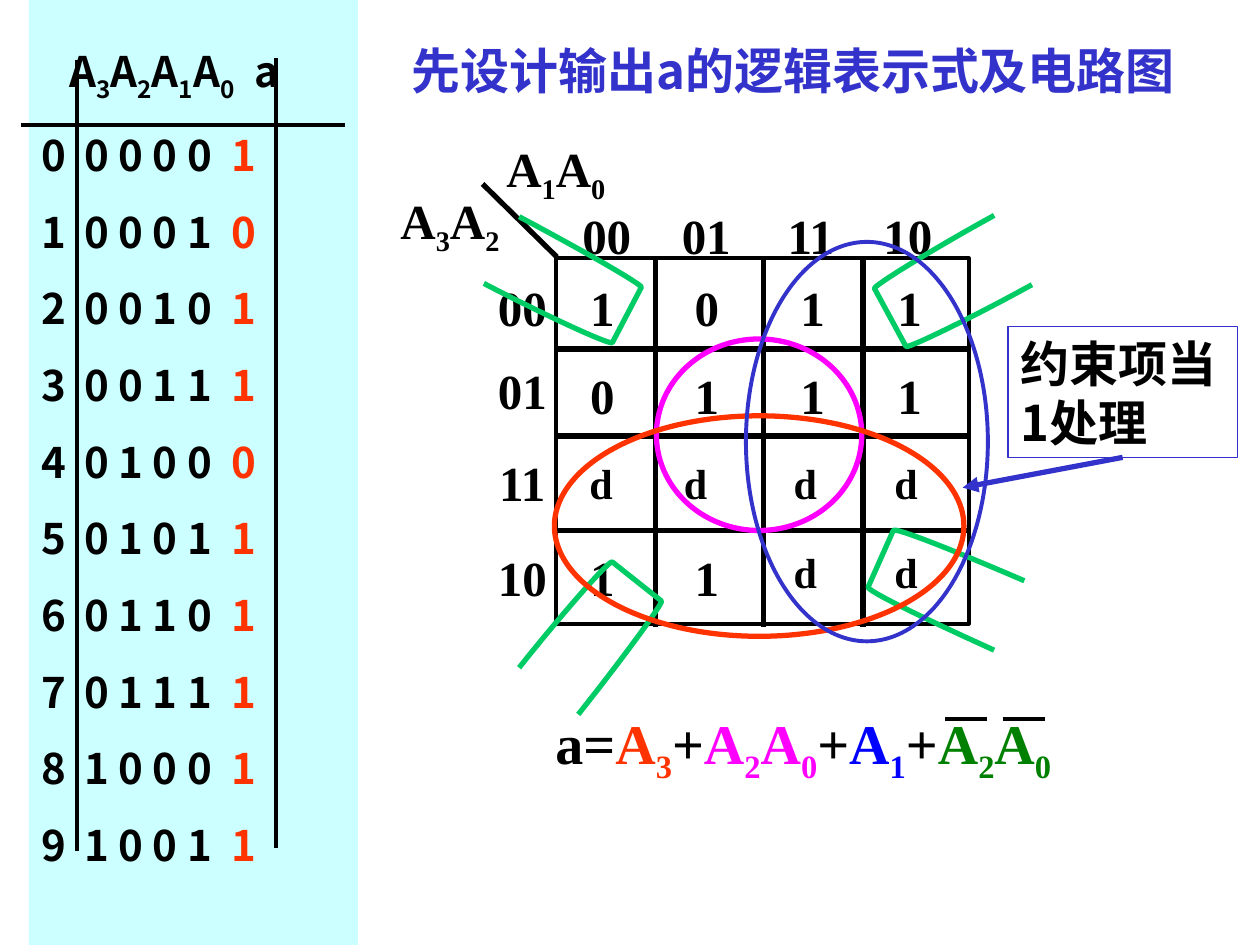
"""Build a slide deriving the logic expression for output a from a truth table and a Karnaugh map."""
from dataclasses import dataclass

from lxml import etree
from pptx import Presentation
from pptx.dml.color import RGBColor
from pptx.enum.dml import MSO_LINE
from pptx.enum.shapes import MSO_CONNECTOR, MSO_SHAPE
from pptx.enum.text import MSO_ANCHOR, PP_ALIGN
from pptx.oxml.ns import qn
from pptx.util import Inches, Pt

STRAIGHT = MSO_CONNECTOR.STRAIGHT
SOLID = MSO_LINE.SOLID
RECTANGLE, OVAL = MSO_SHAPE.RECTANGLE, MSO_SHAPE.OVAL
TOP, MIDDLE = MSO_ANCHOR.TOP, MSO_ANCHOR.MIDDLE
LEFT, CENTER = PP_ALIGN.LEFT, PP_ALIGN.CENTER
BOTTOM_SITE = 2


@dataclass(frozen=True)
class Theme:
    black: str = "000000"
    white: str = "FFFFFF"
    indigo: str = "3333CC"
    blue: str = "0000FF"
    red: str = "FF3300"
    magenta: str = "FF00FF"
    mint: str = "00CC66"
    green: str = "008000"
    panel: str = "CCFFFF"
    serif: str = "Times New Roman"
    sans: str = "Noto Sans CJK SC"
    small: int = 24
    body: int = 28
    formula: int = 32
    thin: float = 0.75
    medium: float = 2.25
    thick: float = 3


THEME = Theme()


def add_text(para, text, font=THEME.serif, size=THEME.body, color=THEME.black, subscripts=False):
    for part in (text if subscripts else [text]):
        span = para.add_run()
        span.text = part
        span.font.name = font
        span.font.size = Pt(size)
        span.font.bold = True
        span.font.color.rgb = RGBColor.from_string(color)
        properties = span._r.get_or_add_rPr()
        etree.SubElement(properties, qn("a:ea")).set("typeface", font)
        if subscripts and part.isdigit():
            properties.set("baseline", "-25000")


def set_tabs(para, *stops):
    tab_list = etree.SubElement(para._p.get_or_add_pPr(), qn("a:tabLst"))
    for stop in stops:
        tab = etree.SubElement(tab_list, qn("a:tab"))
        tab.set("pos", str(Inches(stop)))
        tab.set("algn", "l")


def sample_curve(start, first, second, end, steps=12):
    points = []
    for step in range(steps + 1):
        t = step / steps
        weights = ((1 - t) ** 3, 3 * t * (1 - t) ** 2, 3 * t * t * (1 - t), t ** 3)
        points.append(tuple(Inches(sum(w * p[axis] for w, p in zip(weights, (start, first, second, end))))
                            for axis in (0, 1)))
    return points


class Page:
    """Holds the theme and the current slide and draws each kind of element."""

    def __init__(self, deck, theme):
        self.theme = theme
        self.shapes = deck.slides.add_slide(deck.slide_layouts[6]).shapes

    def outline(self, shape, color, width):
        shape.line.color.rgb = RGBColor.from_string(color)
        shape.line.width = Pt(width)
        shape.line.dash_style = SOLID

    def shape(self, kind, left, top, width, height, fill=None, line=None, weight=THEME.thick):
        shape = self.shapes.add_shape(kind, *map(Inches, (left, top, width, height)))
        shape.shadow.inherit = False
        if fill:
            shape.fill.solid()
            shape.fill.fore_color.rgb = RGBColor.from_string(fill)
        else:
            shape.fill.background()
        if line:
            self.outline(shape, line, weight)
        else:
            shape.line.fill.background()
        return shape

    def frame(self, box, anchor=MIDDLE, align=LEFT):
        frame = box.text_frame
        frame.word_wrap = True
        frame.vertical_anchor = anchor
        frame.paragraphs[0].alignment = align
        return frame

    def text(self, left, top, width, height, text="", anchor=MIDDLE, align=LEFT, **style):
        box = self.shapes.add_textbox(*map(Inches, (left, top, width, height)))
        para = self.frame(box, anchor, align).paragraphs[0]
        if text:
            add_text(para, text, **style)
        return para

    def line(self, x1, y1, x2, y2, color=THEME.black, weight=THEME.thick, arrow=False):
        line = self.shapes.add_connector(STRAIGHT, *map(Inches, (x1, y1, x2, y2)))
        self.outline(line, color, weight)
        etree.SubElement(line._element.spPr, qn("a:effectLst"))
        if arrow:
            etree.SubElement(line.line._get_or_add_ln(), qn("a:tailEnd")).set("type", "triangle")
        return line

    def corner_loop(self, *points):
        outline = sample_curve(*points[:4]) + sample_curve(*points[4:])
        builder = self.shapes.build_freeform(*outline[0])
        builder.add_line_segments(outline[1:], close=False)
        loop = builder.convert_to_shape()
        loop.shadow.inherit = False
        loop.fill.background()
        self.outline(loop, self.theme.mint, self.theme.thick)


def draw_truth_table(page):
    theme = page.theme
    panel = page.shape(RECTANGLE, 0.23, 0, 2.61, 7.5, fill=theme.panel)
    frame = page.frame(panel, TOP)
    frame.margin_top = Inches(0.42)
    style = {"font": theme.sans, "size": theme.small}
    header = frame.paragraphs[0]
    header.line_spacing = Pt(28.8)
    set_tabs(header, 0.22, 1.69)
    add_text(header, "\tA3A2A1A0", subscripts=True, **style)
    add_text(header, "\ta", **style)
    for number, output in enumerate("1011011111"):
        para = frame.add_paragraph()
        para.alignment = LEFT
        para.line_spacing = Pt(28.8)
        para.space_before = Pt(15)
        set_tabs(para, 0.34, 1.51)
        add_text(para, f"{number}\t{' '.join(f'{number:04b}')}\t", **style)
        add_text(para, output, color=theme.red, **style)
    page.line(0.17, 0.99, 2.74, 0.99, weight=theme.medium)
    page.line(2.19, 0.46, 2.19, 6.73, weight=theme.medium)
    page.line(0.61, 0.48, 0.61, 6.75, weight=theme.medium)


def draw_map(page):
    theme = page.theme
    page.shape(RECTANGLE, 4.41, 2.05, 3.28, 2.9, theme.white, theme.black, theme.medium)
    for x in (5.2, 6.06, 6.85):
        page.line(x, 2.05, x, 4.98)
    for y in (2.77, 3.46, 4.21):
        page.line(4.42, y, 7.71, y)
    page.line(4.42, 2.04, 3.83, 1.46)
    page.text(3.08, 1.46, 1.19, 0.63, "A3A2", subscripts=True)
    page.text(3.92, 1.05, 1.19, 0.63, "A1A0", subscripts=True)
    codes = ("00", "01", "11", "10")
    for code, left, top in zip(codes, (4.44, 5.23, 6.06, 6.83), (2.15, 2.81, 3.54, 4.29)):
        page.text(left, 1.58, 0.75, 0.57, code, align=CENTER)
        page.text(3.77, top, 0.75, 0.57, code, align=CENTER)
    columns = tuple(zip((4.52, 5.35, 6.19, 6.96), (4.58, 5.33, 6.2, 7)))
    rows = zip(("1011", "0111", "dddd", "11dd"), (2.15, 2.85, 3.58, 4.29))
    for values, top in rows:
        for value, (left, free_left) in zip(values, columns):
            if value == "d":
                page.text(free_left, top, 0.5, 0.5, value, TOP, size=theme.small)
            else:
                page.text(left, top, 0.52, 0.57, value, align=CENTER)


def draw_groups(page):
    theme = page.theme
    page.shape(OVAL, 5.21, 2.69, 1.63, 1.52, line=theme.magenta)
    page.corner_loop((7.89, 1.71), (7.4, 1.98), (6.93, 2.27), (6.94, 2.29),
                     (7.19, 2.75), (7.2, 2.77), (7.7, 2.53), (8.19, 2.26))
    page.corner_loop((8.13, 4.61), (7.62, 4.39), (7.1, 4.18), (7.09, 4.21),
                     (6.89, 4.66), (6.88, 4.69), (7.38, 4.93), (7.89, 5.16))
    page.corner_loop((4.59, 5.67), (4.94, 5.23), (5.27, 4.78), (5.25, 4.77),
                     (4.86, 4.46), (4.84, 4.44), (4.47, 4.86), (4.12, 5.3))
    page.corner_loop((3.84, 2.25), (4.34, 2.51), (4.84, 2.74), (4.86, 2.72),
                     (5.09, 2.28), (5.1, 2.26), (4.61, 1.98), (4.12, 1.72))
    page.shape(OVAL, 4.4, 3.3, 3.25, 1.75, line=theme.red)
    page.shape(OVAL, 5.92, 1.92, 1.92, 3.17, line=theme.indigo, weight=theme.medium)


def draw_notes(page):
    theme = page.theme
    page.text(3.17, 0.27, 6.59, 0.57, "先设计输出a的逻辑表示式及电路图", font=theme.sans, color=theme.indigo)
    callout = page.shape(RECTANGLE, 8, 2.59, 1.82, 1.04, line=theme.indigo, weight=theme.thin)
    para = page.frame(callout).paragraphs[0]
    para.line_spacing = Pt(34)
    add_text(para, "约束项当1处理", font=theme.sans)
    arrow = page.line(8.91, 3.63, 7.64, 3.87, theme.indigo, arrow=True)
    arrow.begin_connect(callout, BOTTOM_SITE)
    formula = page.text(4.31, 5.57, 4.77, 0.71)
    terms = (("a=", theme.black), ("A3", theme.red), ("+", theme.black), ("A2A0", theme.magenta),
             ("+", theme.black), ("A1", theme.blue), ("+", theme.black), ("A2A0", theme.green))
    for term, color in terms:
        add_text(formula, term, size=theme.formula, color=color, subscripts=True)
    for x in (7.5, 7.96):
        page.line(x, 5.71, x + 0.33, 5.71, weight=theme.medium)


def main():
    deck = Presentation()
    deck.slide_width, deck.slide_height = Inches(10), Inches(7.5)
    page = Page(deck, THEME)
    for draw in (draw_map, draw_notes, draw_truth_table, draw_groups):
        draw(page)
    deck.save("out.pptx")


if __name__ == "__main__":
    main()
